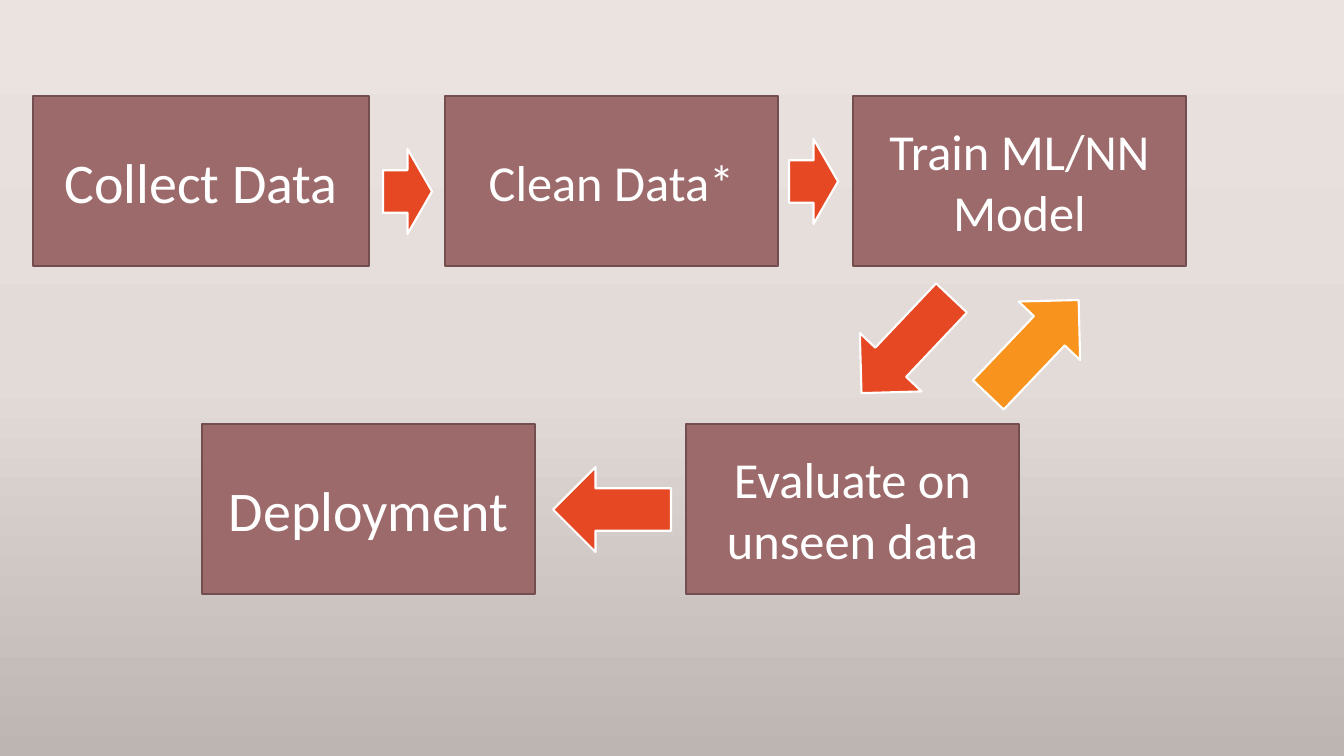
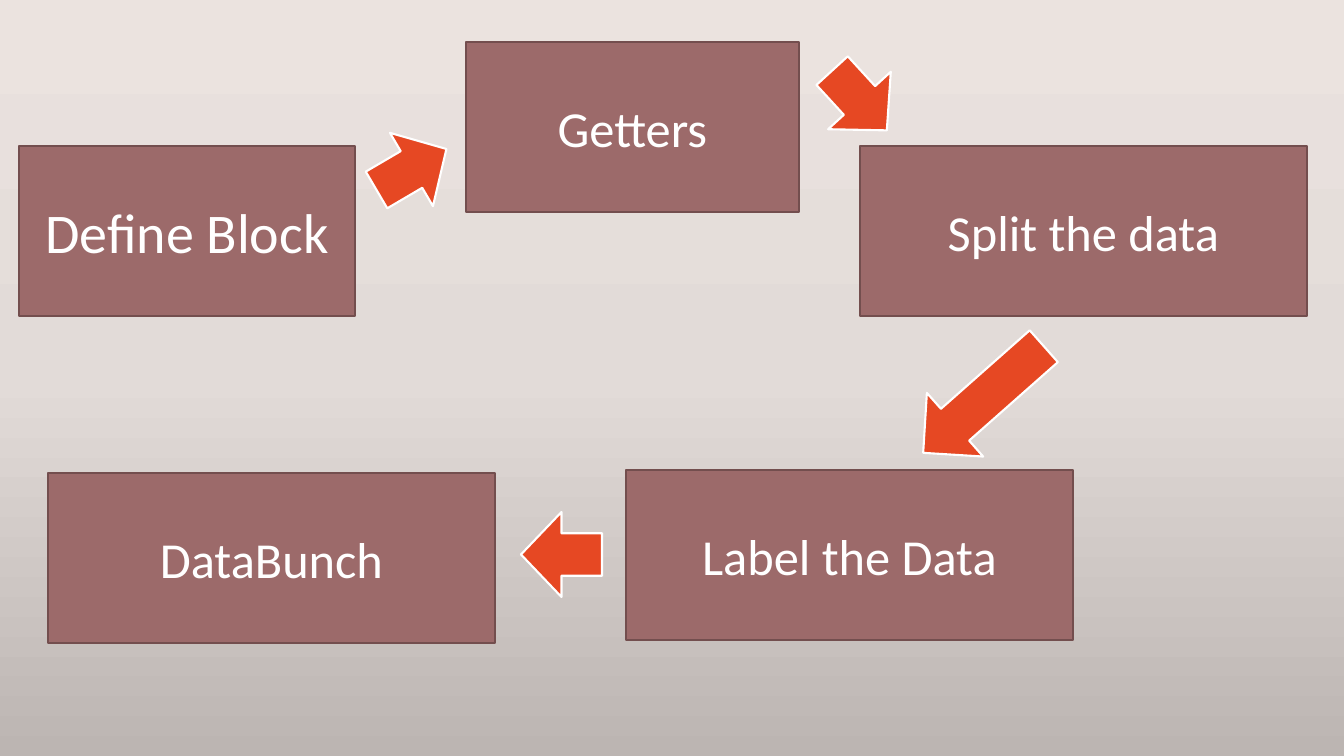
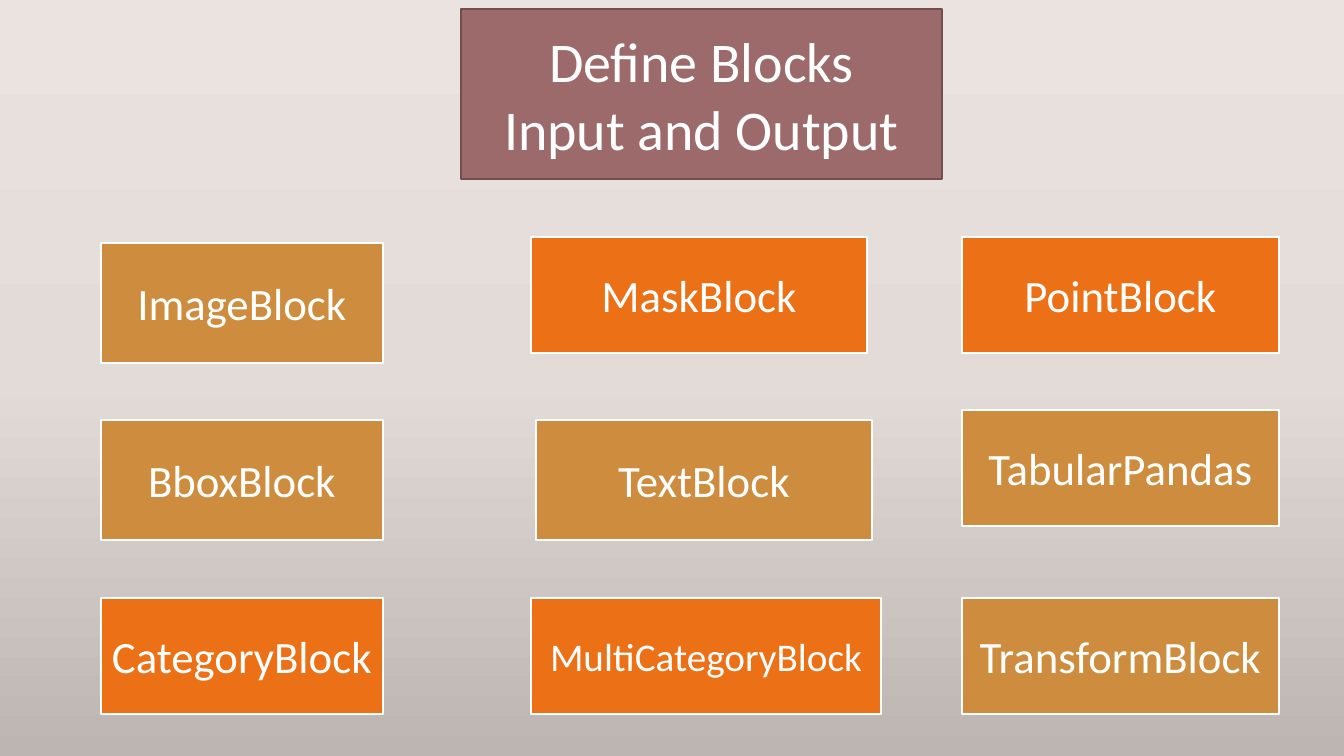
from copy import deepcopy

from pptx import Presentation
from pptx.dml import color
from pptx.enum import shapes, text
from pptx.oxml import ns
from pptx.util import Pt

SCALE = 914400 / 100.8
FONT = "Calibri"
TITLE_ONLY, BLANK = 5, 6
STEP_HEIGHT = 170
ARROW_HEIGHT = 85

COLORS = {
    "step": "9C6A6A",
    "step_edge": "734E4E",
    "forward": "E64823",
    "back": "F8931D",
    "ochre": "CE8D3E",
    "orange": "EC7016",
    "white": "FFFFFF",
}
BACKDROP = {0: "EBE3DF", 0.5: "E2DBD8", 1: "BCB5B2"}
FRAME = {
    "word_wrap": True,
    "auto_size": text.MSO_AUTO_SIZE.NONE,
    "vertical_anchor": text.MSO_ANCHOR.MIDDLE,
}

PIPELINE = [
    ("Collect Data", 33, 96, 336, 40),
    ("Clean Data*", 445, 96, 333, 36),
    ("Train ML/NN Model", 853, 96, 333, 36),
    ("Evaluate on unseen data", 686, 424, 333, 36),
    ("Deployment", 202, 424, 333, 40),
]
PIPELINE_ARROWS = [
    (383, 149, 49, 0, "forward"),
    (789, 139, 49, 0, "forward"),
    (841, 303, 131, 133.4, "forward"),
    (553, 467, 118, 180, "forward"),
    (968, 305, 131, 313.6, "back"),
]
DATA_BLOCK = [
    ("Define Block", 19, 146, 336, 40),
    ("Getters", 466, 42, 333, 36),
    ("Split the data", 860, 146, 447, 36),
    ("Label the Data", 626, 470, 447, 36),
    ("DataBunch", 48, 473, 447, 36),
]
DATA_BLOCK_ARROWS = [
    (371, 127, 81, 329.6, "forward"),
    (819, 58, 81, 47.5, "forward"),
    (903, 357, 161, 138.5, "forward"),
    (521, 512, 81, 180, "forward"),
]
BLOCK_TYPES = [
    ("ImageBlock", (101, 243, 282, 120), "ochre", 32),
    ("MaskBlock", (531, 237, 336, 116), "orange", 32),
    ("PointBlock", (962, 237, 317, 116), "orange", 32),
    ("BboxBlock", (101, 420, 282, 120), "ochre", 32),
    ("TextBlock", (536, 420, 336, 120), "ochre", 32),
    ("TabularPandas", (962, 410, 317, 116), "ochre", 32),
    ("CategoryBlock", (101, 598, 282, 116), "orange", 32),
    ("MultiCategoryBlock", (531, 598, 350, 116), "orange", 28),
    ("TransformBlock", (962, 598, 317, 116), "ochre", 32),
]


def px(length):
    return round(length * SCALE)


def rgb(name):
    return color.RGBColor.from_string(COLORS[name])


def apply(target, values):
    for key, value in values.items():
        setattr(target, key, value)


def paint(shape, fill, edge, weight):
    shape.fill.solid()
    shape.fill.fore_color.rgb = rgb(fill)
    shape.line.color.rgb = rgb(edge)
    shape.line.width = Pt(weight)


def write(shape, label, size):
    frame = shape.text_frame
    apply(frame, FRAME)
    frame.text = label
    for line in frame.paragraphs:
        line.alignment = text.PP_ALIGN.CENTER
        apply(line.runs[0].font, {"name": FONT, "size": Pt(size)})
        line.runs[0].font.color.rgb = rgb("white")


def add_preset(slide, preset, box):
    shape = slide.shapes.add_shape(preset, *map(px, box))
    shape.shadow.inherit = False
    return shape


def add_box(slide, label, box, fill, edge, weight, size):
    shape = add_preset(slide, shapes.MSO_SHAPE.RECTANGLE, box)
    paint(shape, fill, edge, weight)
    write(shape, label, size)


def add_arrow(slide, left, top, width, turn, fill):
    box = (left, top, width, ARROW_HEIGHT)
    arrow = add_preset(slide, shapes.MSO_SHAPE.RIGHT_ARROW, box)
    arrow.rotation = turn
    paint(arrow, fill, "white", 1.5)


def add_heading(slide, label, box):
    heading = slide.shapes.title
    apply(heading, dict(zip(("left", "top", "width", "height"), map(px, box))))
    paint(heading, "step", "step_edge", 1)
    write(heading, label, 40)


def add_flow(deck, steps, arrows):
    slide = deck.slides.add_slide(deck.slide_layouts[BLANK])
    for label, left, top, width, size in steps:
        box = (left, top, width, STEP_HEIGHT)
        add_box(slide, label, box, "step", "step_edge", 1, size)
    for arrow in arrows:
        add_arrow(slide, *arrow)


def add_block_types(deck):
    slide = deck.slides.add_slide(deck.slide_layouts[TITLE_ONLY])
    add_heading(slide, "Define Blocks\nInput and Output", (461, 9, 481, STEP_HEIGHT))
    for label, box, fill, size in BLOCK_TYPES:
        add_box(slide, label, box, fill, "white", 1.5, size)


def set_backdrop(master):
    fill = master.background.fill
    fill.gradient()
    fill.gradient_angle = 270
    stops = master.element.find(".//" + ns.qn("a:gsLst"))
    stops.append(deepcopy(stops[0]))
    for stop, (position, shade) in zip(fill.gradient_stops, BACKDROP.items()):
        stop.position = position
        stop.color.rgb = color.RGBColor.from_string(shade)


def main():
    deck = Presentation()
    apply(deck, {"slide_width": px(1344), "slide_height": px(756)})
    set_backdrop(deck.slide_master)
    add_flow(deck, PIPELINE, PIPELINE_ARROWS)
    add_flow(deck, DATA_BLOCK, DATA_BLOCK_ARROWS)
    add_block_types(deck)
    deck.save("out.pptx")


main()
